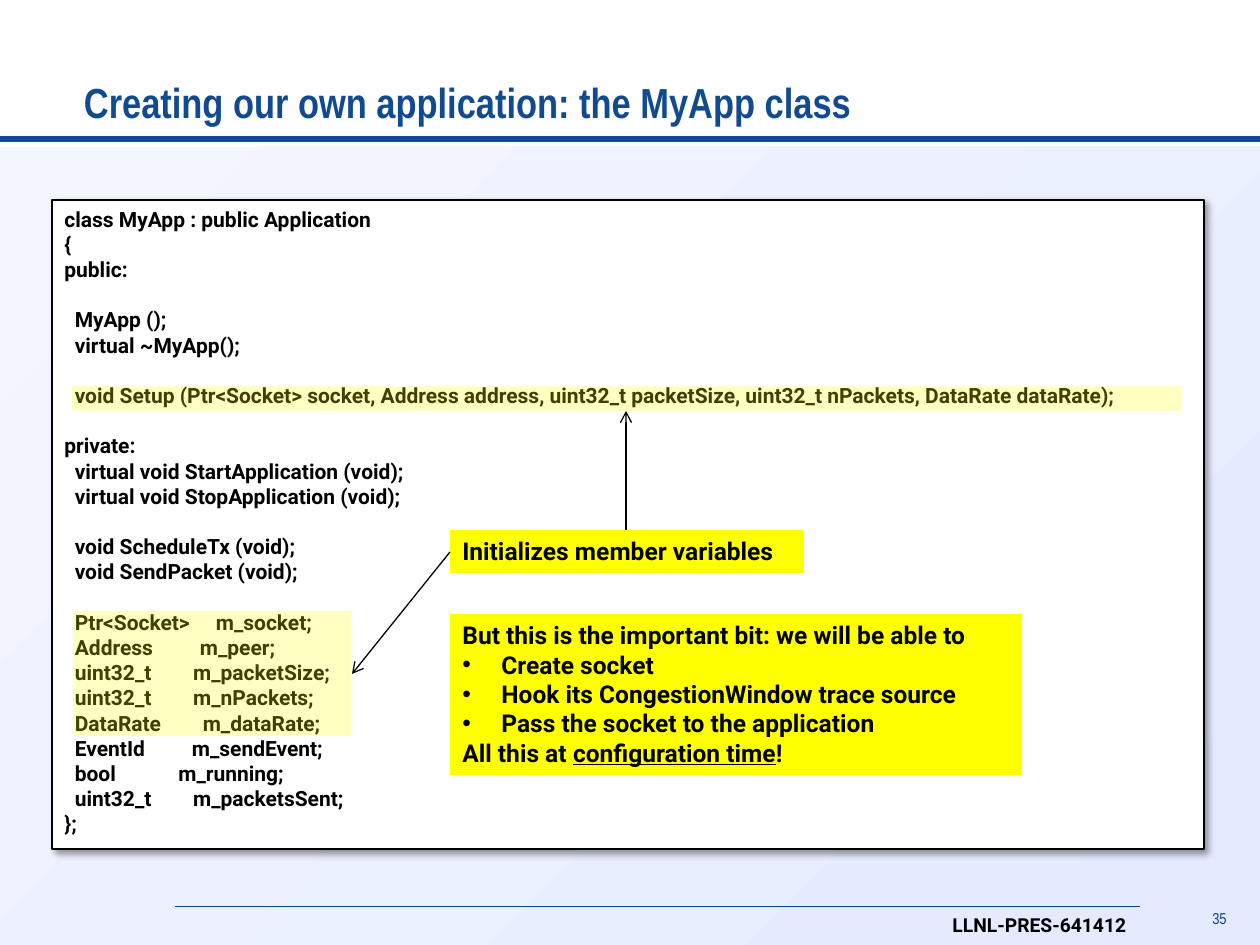
from lxml import etree
from pptx import Presentation
from pptx.dml.color import RGBColor
from pptx.enum.shapes import MSO_CONNECTOR, MSO_SHAPE
from pptx.enum.text import MSO_ANCHOR as Anchor, PP_ALIGN as Align
from pptx.oxml import parse_xml
from pptx.oxml.ns import nsdecls, qn
from pptx.util import Pt

PX = 914400 / 126  # EMU per pixel
COLORS = {
    "navy": "124A91", "rule": "10428C", "black": "000000", "white": "FFFFFF",
    "yellow": "FFFF00", "backdrop_light": "F4F7FF", "backdrop_dark": "E4EAFF",
}
CODE_BLOCKS = [
    ["class MyApp : public Application", "{", "public:"],
    ["  MyApp ();", "  virtual ~MyApp();"],
    ["  void Setup (Ptr<Socket> socket, Address address, uint32_t packetSize, "
     "uint32_t nPackets, DataRate dataRate);"],
    ["private:", "  virtual void StartApplication (void);",
     "  virtual void StopApplication (void);"],
    ["  void ScheduleTx (void);", "  void SendPacket (void);"],
    ["  Ptr<Socket>     m_socket;", "  Address         m_peer;",
     "  uint32_t        m_packetSize;", "  uint32_t        m_nPackets;",
     "  DataRate        m_dataRate;", "  EventId         m_sendEvent;",
     "  bool            m_running;", "  uint32_t        m_packetsSent;", "};"],
]


def rgb(name):
    return RGBColor.from_string(COLORS[name])


def add_box(left, top, width, height, fill=None, paragraphs=(), size=12,
            font="Roboto", color="black", bold=True):
    """Add a rectangle, or a text box if there is no fill, with left-aligned text."""
    place = [round(v * PX) for v in (left, top, width, height)]
    if fill:
        box = slide.shapes.add_shape(MSO_SHAPE.RECTANGLE, *place)
        box.shadow.inherit = False
        box.fill.solid()
        box.fill.fore_color.rgb = rgb(fill)
        box.line.fill.background()
    else:
        box = slide.shapes.add_textbox(*place)
    frame = box.text_frame
    frame.word_wrap = True
    frame.vertical_anchor = Anchor.TOP
    for index, text in enumerate(paragraphs):
        para = frame.paragraphs[0] if index == 0 else frame.add_paragraph()
        if text.startswith("• "):
            text = text[2:]
            indent = round(39 * PX)
            props = para._p.get_or_add_pPr()
            props.set("marL", str(indent))
            props.set("indent", str(-indent))
            etree.SubElement(props, qn("a:buFont")).set("typeface", "Arial")
            etree.SubElement(props, qn("a:buChar")).set("char", "•")
        para.alignment = Align.LEFT
        para.font.name, para.font.size, para.font.bold = font, Pt(size), bold
        para.font.color.rgb = rgb(color)
        # Text between underscores in the form __text__ is underlined.
        for part, piece in enumerate(text.split("__")):
            span = para.add_run()
            span.text = piece
            if part % 2:
                span.font.underline = True
    return box


def add_line(start, end, color, width, arrow=False):
    ends = [round(v * PX) for v in (*start, *end)]
    line = slide.shapes.add_connector(MSO_CONNECTOR.STRAIGHT, *ends)
    line.line.color.rgb = rgb(color)
    line.line.width = Pt(width)
    if arrow:
        etree.SubElement(line.line._get_or_add_ln(), qn("a:tailEnd")).set("type", "arrow")
    etree.SubElement(line._element.spPr, qn("a:effectLst"))


deck = Presentation()
deck.slide_width, deck.slide_height = round(1260 * PX), round(945 * PX)
slide = deck.slides.add_slide(deck.slide_layouts[6])

# Backdrop and header bar
backdrop = add_box(0, 147, 1260, 798, "white")
backdrop.fill.gradient()
backdrop.fill.gradient_angle = 315
for stop, name in zip(backdrop.fill.gradient_stops, ("backdrop_light", "backdrop_dark")):
    stop.color.rgb = rgb(name)
for left in (0, 630):
    add_box(left, 136, 630, 6, "navy")

# Footer
add_line((175, 906), (1140, 906), "rule", 0.5)
number = add_box(1196, 907, 43, 28, None, ["35"], 9, "Arial Narrow", "rule", False)
number.text_frame.margin_left = 0
number.text_frame.paragraphs[0].alignment = Align.RIGHT
number.text_frame.paragraphs[0].line_spacing = 0.75
report = add_box(940, 907, 205, 36, None, ["LLNL-PRES-641412"], 11)
report.text_frame.word_wrap = False

# Title
title = add_box(84, 21, 1095, 112, None, ["Creating our own application: the MyApp class"],
                24, "Arial Narrow", "navy")
title.text_frame.margin_left = 0
title.text_frame.vertical_anchor = Anchor.BOTTOM

# Code panel
code_lines = [line for block in CODE_BLOCKS for line in block]
panel = add_box(52, 200, 1152, 649, "white", code_lines)
panel.line.color.rgb = rgb("black")
panel.line.width = Pt(0.75)
for block in CODE_BLOCKS[1:]:
    panel.text_frame.paragraphs[code_lines.index(block[0])].space_before = Pt(14.4)
panel._element.spPr.find(qn("a:effectLst")).append(parse_xml(
    f'<a:outerShdw {nsdecls("a")} blurRad="50800" dist="38100" dir="2700000" '
    f'algn="tl" rotWithShape="0"><a:srgbClr val="{COLORS["black"]}">'
    '<a:alpha val="40000"/></a:srgbClr></a:outerShdw>'))

# Highlights over the code
for place in ((72, 386, 1109, 25), (73, 611, 278, 125)):
    highlight = add_box(*place, "yellow")
    color = highlight._element.spPr.find(qn("a:solidFill"))[0]
    etree.SubElement(color, qn("a:alpha")).set("val", "25000")

# Callouts
add_box(450, 614, 572, 161, "yellow", [
    "But this is the important bit: we will be able to",
    "• Create socket",
    "• Hook its CongestionWindow trace source",
    "• Pass the socket to the application",
    "All this at __configuration time__!",
], 14)
add_box(450, 530, 354, 43, "yellow", ["Initializes member variables"], 14)
add_line((450, 552), (352, 674), "black", 0.75, arrow=True)
add_line((626, 530), (626, 411), "black", 0.75, arrow=True)

deck.save("out.pptx")
